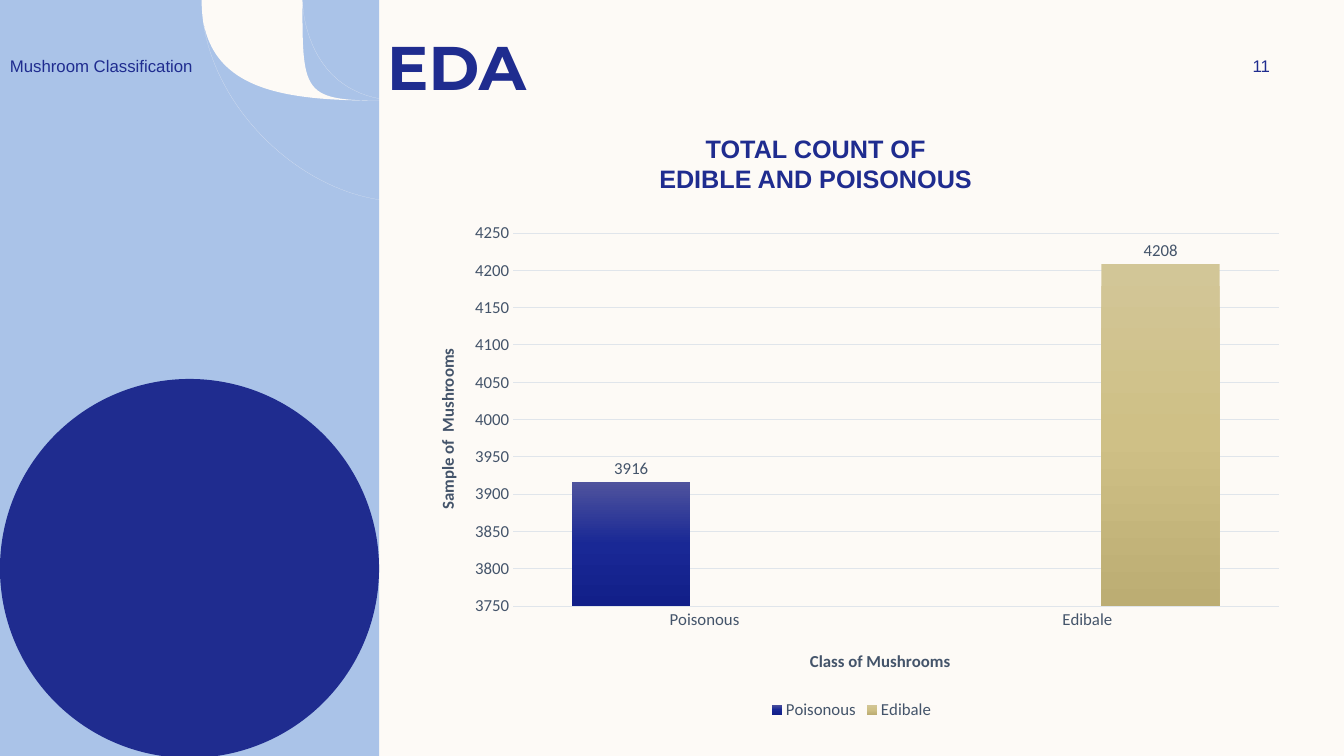
from copy import deepcopy

from lxml import etree
from pptx import Presentation
from pptx.chart.data import CategoryChartData
from pptx.dml.color import RGBColor
from pptx.enum.chart import XL_CHART_TYPE, XL_LABEL_POSITION, XL_LEGEND_POSITION, XL_TICK_MARK
from pptx.enum.shapes import MSO_SHAPE
from pptx.enum.text import MSO_ANCHOR, MSO_AUTO_SIZE, PP_ALIGN
from pptx.oxml.ns import qn
from pptx.util import Inches, Pt

RECTANGLE, OVAL = MSO_SHAPE.RECTANGLE, MSO_SHAPE.OVAL
LEFT, CENTER = PP_ALIGN.LEFT, PP_ALIGN.CENTER
TOP, MIDDLE = MSO_ANCHOR.TOP, MSO_ANCHOR.MIDDLE
NO_FIT = MSO_AUTO_SIZE.NONE
COLUMNS = XL_CHART_TYPE.COLUMN_CLUSTERED
OUTSIDE_END = XL_LABEL_POSITION.OUTSIDE_END
LEGEND_BOTTOM = XL_LEGEND_POSITION.BOTTOM
NO_TICK = XL_TICK_MARK.NONE

CREAM, SKY, NAVY = "FDFAF6", "AAC3E8", "1F2C8F"
SLATE, GRID = "44546A", "E0E5EB"
NAVY_GRADIENT = ["4F539D", "192895", "121F89"]
SAND_GRADIENT = ["D2C697", "CFC086", "BCAD73"]


def color(value):
    return RGBColor.from_string(value)


def inches(*lengths):
    return [Inches(length) for length in lengths]


def style_font(font, size, name, value, bold=False):
    font.size, font.name, font.bold = Pt(size), name, bold
    font.color.rgb = color(value)


def paint(shape, value):
    shape.shadow.inherit = False
    shape.fill.solid()
    shape.fill.fore_color.rgb = color(value)
    shape.line.fill.background()


def write(box, place, lines, size, name="Arial", bold=False, align=LEFT, anchor=MIDDLE):
    box.left, box.top, box.width, box.height = inches(*place)
    frame = box.text_frame
    frame.text = "\n".join(lines)
    frame.word_wrap, frame.auto_size, frame.vertical_anchor = True, NO_FIT, anchor
    for para in frame.paragraphs:
        properties = para._p.get_or_add_pPr()
        properties.set("marL", "0")
        properties.set("indent", "0")
        etree.SubElement(properties, qn("a:buNone"))
        para.alignment = align
        para.space_before = Pt(0)
        for span in para.runs:
            style_font(span.font, size, name, NAVY, bold)


def quarter_curve(center_x, radius):
    pull = 0.55 * radius
    return [(center_x - radius, 0), (center_x - radius, pull),
            (center_x - pull, radius), (center_x, radius)]


def bend(points):
    curve = etree.Element(qn("a:cubicBezTo"))
    points[0].addprevious(curve)
    for point in points:
        curve.append(point[0])
        point.getparent().remove(point)


def add_rings(page, center_x, outer_radius, count=17, step=0.1025, thickness=0.02):
    builder = page.shapes.build_freeform(center_x - outer_radius, 0, scale=Inches(1))
    for index in range(count):
        radius = outer_radius - index * step
        outline = quarter_curve(center_x, radius)
        outline += reversed(quarter_curve(center_x, radius - thickness))
        if index:
            builder.move_to(*outline[0])
        builder.add_line_segments(outline[1:], close=True)
    rings = builder.convert_to_shape()
    points = rings._element.xpath(".//a:lnTo")
    for start in range(0, len(points), 7):
        bend(points[start:start + 3])
        bend(points[start + 4:start + 7])
    paint(rings, CREAM)


def add_side_panel(page, width, height):
    paint(page.shapes.add_shape(RECTANGLE, *inches(0, 0, width, height)), SKY)
    add_rings(page, width, width / 2)
    paint(page.shapes.add_shape(OVAL, *inches(0, width, width, width)), NAVY)


def set_layout(element, index, **fractions):
    for old in element.findall(qn("c:layout")):
        element.remove(old)
    layout = etree.Element(qn("c:layout"))
    manual = etree.SubElement(layout, qn("c:manualLayout"))
    if "w" in fractions:
        etree.SubElement(manual, qn("c:layoutTarget")).set("val", "inner")
    for mode in ("xMode", "yMode"):
        etree.SubElement(manual, qn(f"c:{mode}")).set("val", "edge")
    for key, value in fractions.items():
        etree.SubElement(manual, qn(f"c:{key}")).set("val", str(value))
    element.insert(index, layout)


def style_axis(axis, title, x, y):
    axis.major_tick_mark = axis.minor_tick_mark = NO_TICK
    style_font(axis.tick_labels.font, 12, "Calibri", SLATE)
    frame = axis.axis_title.text_frame
    frame.text = title
    style_font(frame.paragraphs[0].runs[0].font, 12, "Calibri", SLATE, bold=True)
    set_layout(axis.axis_title._element, 1, x=x, y=y)


def style_line(line):
    line.color.rgb = color(GRID)
    line.width = Pt(0.75)


def style_series(series, gradient):
    fill = series.format.fill
    fill.gradient()
    fill.gradient_angle = 270
    stop_list = series._element.xpath("c:spPr/a:gradFill/a:gsLst")[0]
    stop_list.append(deepcopy(stop_list[-1]))
    for index, (stop, value) in enumerate(zip(fill.gradient_stops, gradient)):
        stop.position = index / 2
        stop.color.rgb = color(value)
    labels = series.data_labels
    labels.show_value = True
    labels.position = OUTSIDE_END
    style_font(labels.font, 12, "Calibri", SLATE)


def add_count_chart(page, place):
    data = CategoryChartData()
    data.categories = ["Poisonous", "Edibale"]
    data.add_series("Poisonous", [3916, None])
    data.add_series("Edibale", [None, 4208])
    chart = page.shapes.add_chart(COLUMNS, *inches(*place), data).chart
    style_font(chart.font, 12, "Calibri", SLATE)
    chart.has_title = False
    chart.has_legend = True
    chart.legend.position = LEGEND_BOTTOM
    chart.legend.include_in_layout = False
    style_font(chart.legend.font, 12, "Calibri", SLATE)

    plot = chart.plots[0]
    plot.gap_width, plot.overlap, plot.vary_by_categories = 100, -24, False
    for series, gradient in zip(plot.series, (NAVY_GRADIENT, SAND_GRADIENT)):
        style_series(series, gradient)

    classes, counts = chart.category_axis, chart.value_axis
    style_axis(classes, "Class of Mushrooms", 0.45, 0.85)
    style_line(classes.format.line)
    style_axis(counts, "Sample of  Mushrooms", 0.03, 0.26)
    counts.axis_title.text_frame._txBody.bodyPr.set("rot", "-5400000")
    counts.minimum_scale, counts.maximum_scale, counts.major_unit = 3750, 4250, 50
    counts.format.line.fill.background()
    style_line(counts.major_gridlines.format.line)
    plot_area = chart._chartSpace.xpath("c:chart/c:plotArea")[0]
    set_layout(plot_area, 0, x=0.12, y=0.04, w=0.86, h=0.73)


def add_text_box(page, place, text, align):
    write(page.shapes.add_textbox(*inches(*place)), place, [text], 12, align=align)


def build_analysis_page(deck):
    page = deck.slides.add_slide(deck.slide_layouts[1])
    page.background.fill.solid()
    page.background.fill.fore_color.rgb = color(CREAM)
    add_side_panel(page, 3.76, 7.5)
    title, body = page.placeholders
    page.shapes._spTree.extend([title._element, body._element])
    write(title, (3.74, 0.23, 8.93, 0.84), ["EDA"], 44, "Montserrat", bold=True)
    write(body, (4.66, 1.27, 6.86, 0.84), ["TOTAL COUNT OF", "EDIBLE AND POISONOUS"],
          18, bold=True, align=CENTER, anchor=TOP)
    add_text_box(page, (11.97, 0.5, 1.08, 0.3), "11", CENTER)
    add_text_box(page, (0, 0.5, 3.5, 0.3), "Mushroom Classification", LEFT)
    add_count_chart(page, (4.03, 2.11, 8.83, 5.07))


def main():
    deck = Presentation()
    deck.slide_width, deck.slide_height = inches(13.33, 7.5)
    build_analysis_page(deck)
    deck.save("out.pptx")


if __name__ == "__main__":
    main()
